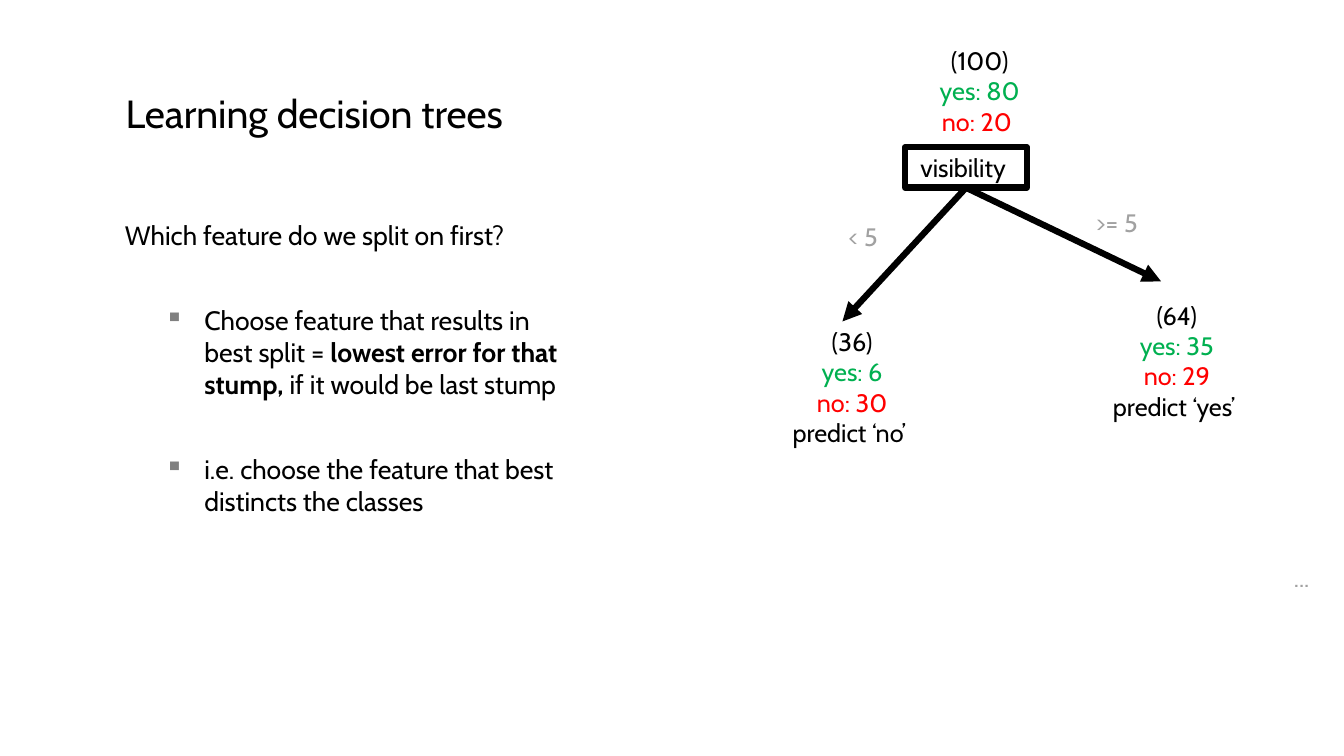
import dataclasses
import typing

import lxml.etree
import pptx
import pptx.dml.color
import pptx.enum.dml
import pptx.enum.shapes
import pptx.enum.text
import pptx.oxml.ns
import pptx.util

Cm = pptx.util.Cm
Pt = pptx.util.Pt
BLACK, GREEN, RED, GREY = "000000", "00B050", "FF0000", "A1A1A1"
LEFT = pptx.enum.text.PP_ALIGN.LEFT
CENTER = pptx.enum.text.PP_ALIGN.CENTER


@dataclasses.dataclass
class Run:
    text: str
    hue: str = BLACK
    bold: bool = False


@dataclasses.dataclass
class Line:
    runs: list[Run]
    gap: float = 0
    mark: bool = False


@dataclasses.dataclass
class Box:
    left: float
    top: float
    width: float
    height: float
    lines: list[Line]
    size: float = 18
    align: typing.Any = CENTER


@dataclasses.dataclass
class Branch:
    right: float
    low: float


def paint(hue: str) -> pptx.dml.color.RGBColor:
    return pptx.dml.color.RGBColor.from_string(hue)


def add_mark(para: typing.Any) -> None:
    props = para._p.get_or_add_pPr()
    props.set("marL", str(Cm(2)))
    props.set("indent", str(-Cm(1)))
    qn = pptx.oxml.ns.qn
    tint = lxml.etree.SubElement(props, qn("a:buClr"))
    lxml.etree.SubElement(tint, qn("a:srgbClr")).set("val", "808080")
    lxml.etree.SubElement(props, qn("a:buChar")).set("char", "▪")


def write(frame: typing.Any, box: Box) -> None:
    frame.word_wrap = True
    frame.vertical_anchor = pptx.enum.text.MSO_ANCHOR.TOP
    for rank, line in enumerate(box.lines):
        para = frame.add_paragraph() if rank else frame.paragraphs[0]
        if line.mark:
            add_mark(para)
        para.alignment = box.align
        para.space_before = Pt(line.gap)
        for part in line.runs:
            run = para.add_run()
            run.text = part.text
            run.font.name = "Cabin"
            run.font.size = Pt(box.size)
            run.font.bold = part.bold
            run.font.color.rgb = paint(part.hue)


def place(box: Box) -> tuple[int, int, int, int]:
    return Cm(box.left), Cm(box.top), Cm(box.width), Cm(box.height)


def add_text(slide: typing.Any, box: Box) -> typing.Any:
    frame = slide.shapes.add_textbox(*place(box)).text_frame
    write(frame, box)
    return frame


def add_node(slide: typing.Any, box: Box) -> None:
    shape = slide.shapes.add_shape(pptx.enum.shapes.MSO_SHAPE.RECTANGLE, *place(box))
    shape.shadow.inherit = False
    shape.fill.background()
    shape.line.color.rgb = paint(BLACK)
    shape.line.width = Pt(4.5)
    write(shape.text_frame, box)


def add_branch(slide: typing.Any, node: Box, branch: Branch) -> None:
    link = slide.shapes.add_connector(
        pptx.enum.shapes.MSO_CONNECTOR.STRAIGHT,
        Cm(node.left + node.width / 2), Cm(node.top + node.height),
        Cm(branch.right), Cm(branch.low),
    )
    link.line.color.rgb = paint(BLACK)
    link.line.width = Pt(4.5)
    qn = pptx.oxml.ns.qn
    tail = lxml.etree.SubElement(link.line._get_or_add_ln(), qn("a:tailEnd"))
    tail.set("type", "triangle")
    lxml.etree.SubElement(link._element.spPr, qn("a:effectLst"))


def tally(total: str, yes: str, no: str, guess: str = "") -> list[Line]:
    runs = [Run(total), Run(yes, GREEN), Run(no, RED)]
    if guess:
        runs.append(Run(guess))
    return [Line([run]) for run in runs]


def label(left: float, top: float, text: str, width: float = 2.36) -> Box:
    return Box(left, top, width, 1.02, [Line([Run(text, GREY)])], align=LEFT)


TITLE = Box(2.92, 2.16, 27.99, 1.5, [Line([Run("Learning decision trees")])], 28, LEFT)
BODY = Box(2.9, 5.4, 11.71, 11, [
    Line([Run("Which feature do we split on first?")]),
    Line([
        Run("Choose feature that results in best split = "),
        Run("lowest error for that stump, ", bold=True),
        Run("if it would be last stump"),
    ], 38, True),
    Line([Run("i.e. choose the feature that best distincts the classes")], 38, True),
], 19, LEFT)
NODE = Box(22.81, 3.71, 3.07, 1.02, [Line([Run("visibility ")])])
BRANCHES = [Branch(29.26, 7.09), Branch(21.23, 8.1)]
TEXTS = [
    label(32.36, 14.05, "...", 1.5),
    label(27.36, 5.11, ">= 5"),
    label(21.13, 5.46, "< 5"),
    Box(22.81, 1.02, 3.76, 2.57, tally("(100)", "yes: 80", "no: 20 ")),
    Box(19.48, 8.1, 3.99, 3.33, tally("(36)", "yes: 6", "no: 30", "predict ‘no’ ")),
    Box(27.36, 7.44, 4.6, 3.33, tally("(64)", "yes: 35", "no: 29", "predict ‘yes’ ")),
]


def main() -> None:
    deck = pptx.Presentation()
    deck.slide_width, deck.slide_height = Cm(33.87), Cm(19.05)
    slide = deck.slides.add_slide(deck.slide_layouts[6])
    title = add_text(slide, TITLE)
    title.vertical_anchor = pptx.enum.text.MSO_ANCHOR.MIDDLE
    title.paragraphs[0].line_spacing = 0.9
    add_text(slide, BODY)
    add_node(slide, NODE)
    for branch in BRANCHES:
        add_branch(slide, NODE, branch)
    for box in TEXTS:
        add_text(slide, box)
    deck.save("out.pptx")


if __name__ == "__main__":
    main()
